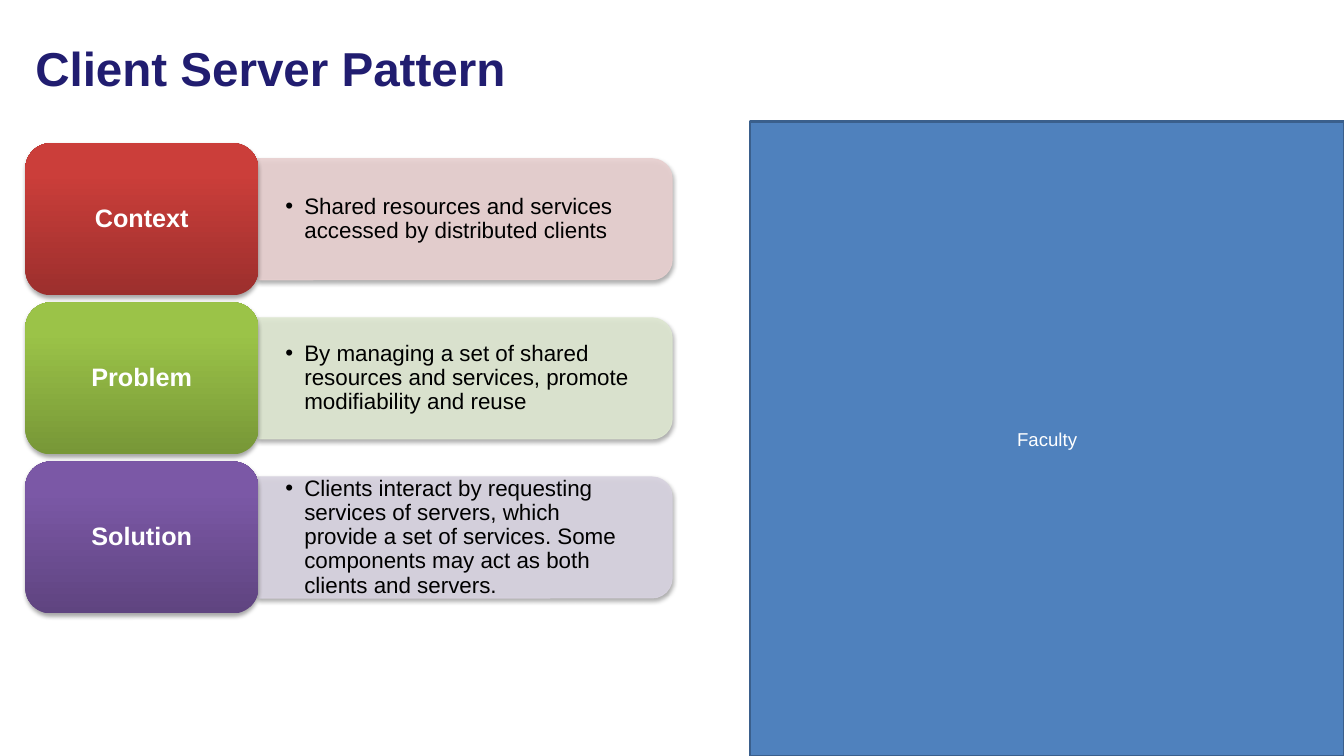
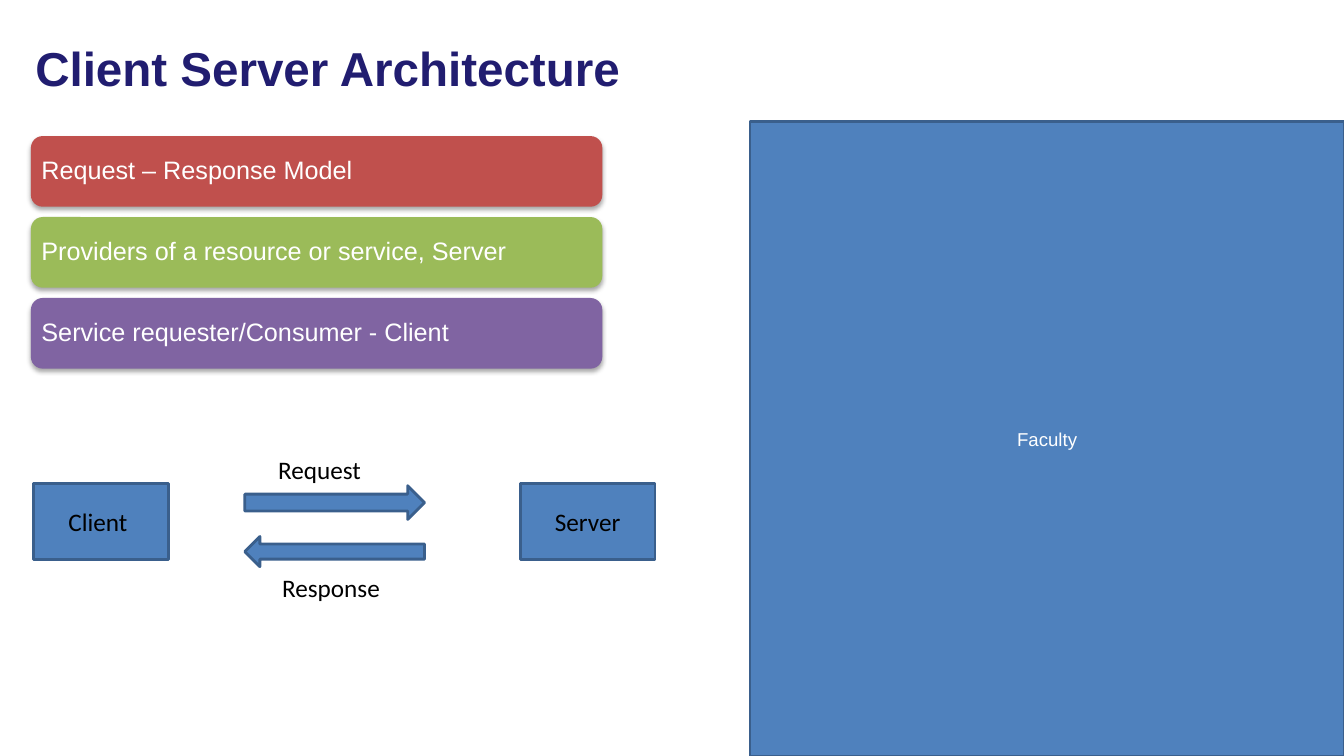
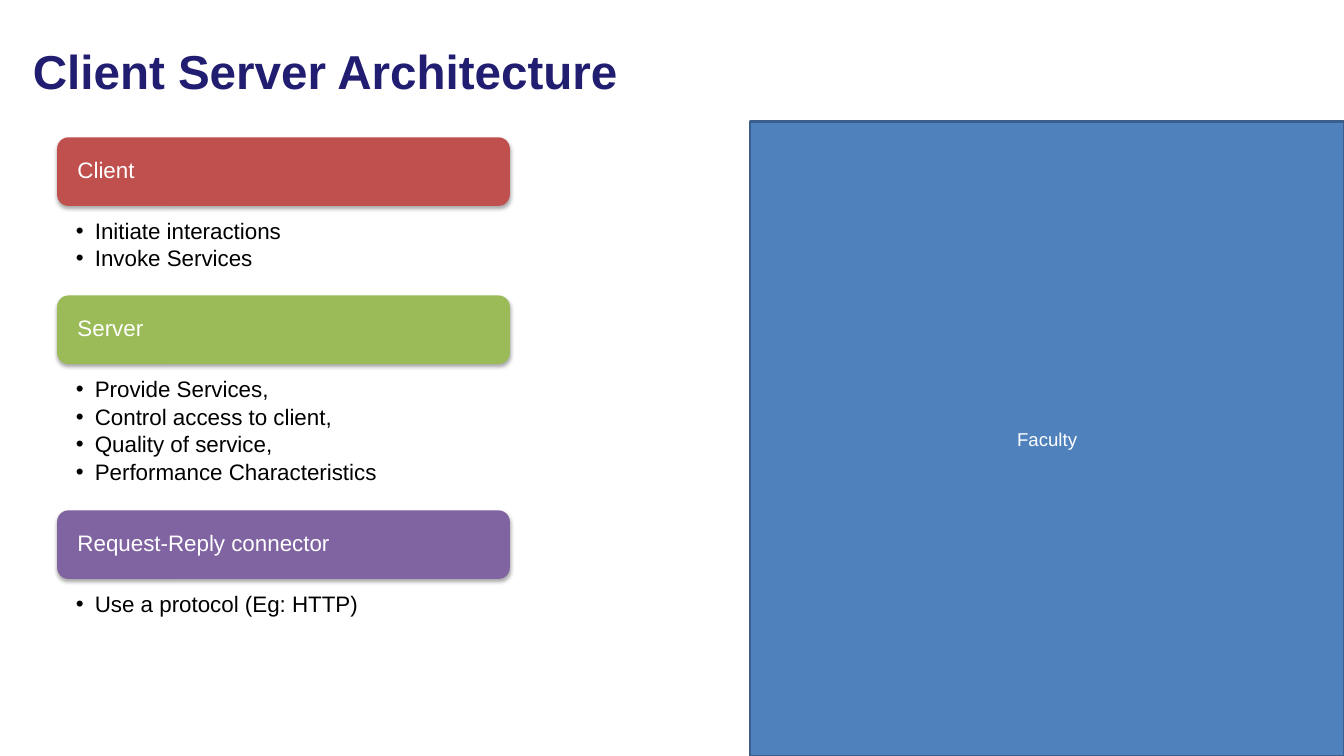
from dataclasses import dataclass

from lxml import etree
from pptx import Presentation
from pptx.dml.color import RGBColor
from pptx.enum.shapes import MSO_SHAPE
from pptx.enum.text import MSO_ANCHOR, MSO_AUTO_SIZE, PP_ALIGN
from pptx.oxml.ns import qn
from pptx.presentation import Presentation as Deck
from pptx.shapes.autoshape import Shape
from pptx.slide import Slide
from pptx.text.text import TextFrame
from pptx.util import Cm, Pt

RECTANGLE = MSO_SHAPE.RECTANGLE
ROUNDED = MSO_SHAPE.ROUNDED_RECTANGLE
ROUNDED_SIDE = MSO_SHAPE.ROUND_2_SAME_RECTANGLE
RIGHT_ARROW = MSO_SHAPE.RIGHT_ARROW
LEFT_ARROW = MSO_SHAPE.LEFT_ARROW
TOP = MSO_ANCHOR.TOP
MIDDLE = MSO_ANCHOR.MIDDLE
LEFT = PP_ALIGN.LEFT
CENTER = PP_ALIGN.CENTER
NO_AUTOFIT = MSO_AUTO_SIZE.NONE


@dataclass(frozen=True)
class Accent:
    solid: RGBColor
    tint: RGBColor
    light: RGBColor
    dark: RGBColor


@dataclass(frozen=True)
class TextStyle:
    size: float
    color: RGBColor
    font: str = "Arial"
    bold: bool = False
    align: PP_ALIGN = LEFT
    line_spacing: float = 1.0
    space_after: float = 0


def rgb(value: str) -> RGBColor:
    return RGBColor.from_string(value)


@dataclass(frozen=True)
class Theme:
    blue: RGBColor = rgb("4F81BD")
    blue_edge: RGBColor = rgb("3A5F8C")
    red: Accent = Accent(rgb("C0504D"), rgb("E8D0D0"), rgb("CB3E3A"), rgb("9C2F2D"))
    green: Accent = Accent(rgb("9BBB59"), rgb("DEE7D1"), rgb("9BC348"), rgb("779737"))
    purple: Accent = Accent(rgb("8064A2"), rgb("D8D3E0"), rgb("7B58A6"), rgb("5F4480"))
    title: TextStyle = TextStyle(34, rgb("211D70"), bold=True, line_spacing=0.9)
    card: TextStyle = TextStyle(18, rgb("FFFFFF"), bold=True, align=CENTER, line_spacing=0.9)
    bar: TextStyle = TextStyle(18, rgb("FFFFFF"), line_spacing=0.9)
    banner: TextStyle = TextStyle(16, rgb("FFFFFF"), line_spacing=0.9)
    bullet: TextStyle = TextStyle(16, rgb("000000"), line_spacing=0.9, space_after=2.4)
    panel: TextStyle = TextStyle(13.3, rgb("FFFFFF"), align=CENTER)
    node: TextStyle = TextStyle(18, rgb("000000"), font="Calibri", align=CENTER)
    caption: TextStyle = TextStyle(18, rgb("000000"), font="Calibri")

    @property
    def accents(self) -> tuple[Accent, ...]:
        return self.red, self.green, self.purple


THEME = Theme()


@dataclass(frozen=True)
class Box:
    left: float
    top: float
    width: float
    height: float

    def lengths(self) -> tuple[Cm, Cm, Cm, Cm]:
        return Cm(self.left), Cm(self.top), Cm(self.width), Cm(self.height)


@dataclass(frozen=True)
class Insets:
    side: float = 0.25
    top: float = 0.13
    bottom: float = 0.13


@dataclass(frozen=True)
class Section:
    heading: str
    items: tuple[str, ...]
    list_height: float = 0


PATTERN = (
    Section("Context", ("Shared resources and services accessed by distributed clients",)),
    Section("Problem", ("By managing a set of shared resources and services, "
                        "promote modifiability and reuse",)),
    Section("Solution", ("Clients interact by requesting services of servers, which provide "
                         "a set of services. Some components may act as both clients and "
                         "servers.",)),
)
MODEL = (
    "Request – Response Model",
    "Providers of a resource or service, Server",
    "Service requester/Consumer - Client",
)
ELEMENTS = (
    Section("Client", ("Initiate interactions", "Invoke Services"), 2.79),
    Section("Server", ("Provide Services,", "Control access to client,",
                       "Quality of service,", "Performance Characteristics"), 4.22),
    Section("Request-Reply connector", ("Use a protocol (Eg: HTTP)",), 2.16),
)


def write_text(frame: TextFrame, lines: tuple[str, ...], style: TextStyle,
               insets: Insets = Insets(), anchor: MSO_ANCHOR = MIDDLE,
               bulleted: bool = False) -> None:
    frame.text = "\n".join(lines)
    frame.word_wrap = True
    frame.auto_size = NO_AUTOFIT
    frame.vertical_anchor = anchor
    frame.margin_left = frame.margin_right = Cm(insets.side)
    frame.margin_top, frame.margin_bottom = Cm(insets.top), Cm(insets.bottom)
    for paragraph in frame.paragraphs:
        if bulleted:
            properties = paragraph._p.get_or_add_pPr()
            properties.set("marL", str(Cm(0.48)))
            properties.set("indent", str(Cm(-0.48)))
            etree.SubElement(properties, qn("a:buFont")).set("typeface", "Arial")
            etree.SubElement(properties, qn("a:buChar")).set("char", "•")
        paragraph.alignment = style.align
        paragraph.line_spacing = style.line_spacing
        paragraph.space_before = Pt(0)
        paragraph.space_after = Pt(style.space_after)
        for run in paragraph.runs:
            run.font.name = style.font
            run.font.size = Pt(style.size)
            run.font.bold = style.bold
            run.font.color.rgb = style.color


def add_block(slide: Slide, kind: MSO_SHAPE, box: Box, fill: RGBColor,
              edge: RGBColor | None = None, edge_width: float = 2) -> Shape:
    shape = slide.shapes.add_shape(kind, *box.lengths())
    shape.shadow.inherit = False
    shape.fill.solid()
    shape.fill.fore_color.rgb = fill
    if edge is None:
        shape.line.fill.background()
    else:
        shape.line.color.rgb = edge
        shape.line.width = Pt(edge_width)
    return shape


def add_soft_shadow(shape: Shape) -> None:
    effects = shape.element.spPr.find(qn("a:effectLst"))
    shadow = etree.SubElement(effects, qn("a:outerShdw"), blurRad=str(Pt(3.1)),
                              dist=str(Pt(1.8)), dir="5400000", rotWithShape="0")
    color = etree.SubElement(shadow, qn("a:srgbClr"), val="000000")
    etree.SubElement(color, qn("a:alpha"), val="35000")


def set_opacity(shape: Shape, percent: int) -> None:
    for color in shape.element.spPr.iter(qn("a:srgbClr")):
        etree.SubElement(color, qn("a:alpha"), val=str(percent * 1000))


def add_label_bar(slide: Slide, box: Box, text: str, fill: RGBColor,
                  style: TextStyle, insets: Insets) -> Shape:
    bar = add_block(slide, ROUNDED, box, fill)
    add_soft_shadow(bar)
    write_text(bar.text_frame, (text,), style, insets)
    return bar


def add_titled_slide(presentation: Deck, layout_name: str, title: str,
                     left: float = 0.64, top: float = 0.64) -> Slide:
    layout = presentation.slide_layouts.get_by_name(layout_name)
    slide = presentation.slides.add_slide(layout)
    place(slide.shapes.title, Box(left, top, 30, 2.31))
    write_text(slide.shapes.title.text_frame, (title,), THEME.title)
    return slide


def place(shape: Shape, box: Box) -> None:
    shape.left, shape.top, shape.width, shape.height = box.lengths()


def fill_list(slide: Slide, index: int, box: Box, items: tuple[str, ...],
              insets: Insets, anchor: MSO_ANCHOR) -> None:
    body = slide.placeholders[index]
    place(body, box)
    write_text(body.text_frame, items, THEME.bullet, insets, anchor, bulleted=True)
    slide.element.cSld.spTree.append(body.element)


def remove_empty_placeholders(slide: Slide) -> None:
    for placeholder in list(slide.placeholders):
        if not placeholder.text_frame.text:
            placeholder.element.getparent().remove(placeholder.element)


def add_faculty_panel(presentation: Deck, slide: Slide) -> None:
    panel = add_block(slide, RECTANGLE, Box(18.9, 3.07, 14.98, 15.98),
                      THEME.blue, THEME.blue_edge)
    write_text(panel.text_frame, ("Faculty",), THEME.panel)
    panel.element.nvSpPr.cNvPr.set("id", "20")
    presentation.slide_master.element.cSld.spTree.append(panel.element)


def add_pattern_row(slide: Slide, index: int, section: Section, accent: Accent) -> None:
    card_height, panel_width, panel_height, list_height = 3.83, 10.44, 3.05, 2.77
    panel_left = 6.5
    top = 3.61 + index * 4.01
    middle = top + card_height / 2
    upright = Box(panel_left + (panel_width - panel_height) / 2,
                  middle - panel_width / 2, panel_height, panel_width)
    panel = add_block(slide, ROUNDED_SIDE, upright, accent.tint, accent.tint, 0.75)
    panel.rotation = 90
    set_opacity(panel, 90)
    add_soft_shadow(panel)
    card = add_label_bar(slide, Box(0.64, top, 5.87, card_height), section.heading,
                         accent.solid, THEME.card, Insets(0.18, 0.1, 0.1))
    card.fill.gradient()
    card.fill.gradient_angle = 90
    for stop, color, position in zip(card.fill.gradient_stops,
                                     (accent.dark, accent.light), (0, 0.8)):
        stop.color.rgb = color
        stop.position = position
    fill_list(slide, index + 1, Box(panel_left, middle - list_height / 2, 10.29, list_height),
              section.items, Insets(0.69, 0.36, 0.36), MIDDLE)


def build_pattern_slide(presentation: Deck) -> None:
    slide = add_titled_slide(presentation, "Comparison", "Client Server Pattern")
    add_faculty_panel(presentation, slide)
    for index, (section, accent) in enumerate(zip(PATTERN, THEME.accents)):
        add_pattern_row(slide, index, section, accent)
    remove_empty_placeholders(slide)


def build_model_slide(presentation: Deck) -> None:
    slide = add_titled_slide(presentation, "Title Only", "Client Server Architecture")
    for index, (text, accent) in enumerate(zip(MODEL, THEME.accents)):
        add_label_bar(slide, Box(0.78, 3.43 + index * 2.04, 14.4, 1.78), text,
                      accent.solid, THEME.bar, Insets(0.18, 0.18, 0.18))
    for text, left in (("Client ", 0.84), ("Server", 13.11)):
        node = add_block(slide, RECTANGLE, Box(left, 12.19, 3.4, 1.91),
                         THEME.blue, THEME.blue_edge)
        write_text(node.text_frame, (text,), THEME.node)
    for kind, top, height in ((RIGHT_ARROW, 12.24, 0.85), (LEFT_ARROW, 13.52, 0.76)):
        add_block(slide, kind, Box(6.17, top, 4.53, height), THEME.blue, THEME.blue_edge)
    for text, box in (("Request", Box(6.76, 11.31, 2.95, 1.02)),
                      ("Response", Box(6.86, 14.3, 3.38, 1.02))):
        caption = slide.shapes.add_textbox(*box.lengths())
        write_text(caption.text_frame, (text,), THEME.caption, anchor=TOP)


def build_elements_slide(presentation: Deck) -> None:
    slide = add_titled_slide(presentation, "Comparison", "Client Server Architecture",
                             0.58, 0.71)
    banner_height, gap = 1.73, 0.33
    top = 3.46
    for index, (section, accent) in enumerate(zip(ELEMENTS, THEME.accents)):
        list_top = top + banner_height / 2
        add_label_bar(slide, Box(1.44, top, 11.41, banner_height), section.heading,
                      accent.solid, THEME.banner, Insets(0.43, 0, 0))
        fill_list(slide, index + 1, Box(0.64, list_top, 16.31, section.list_height),
                  section.items, Insets(1.27, 1.22, 0.3), TOP)
        top = list_top + section.list_height + gap
    remove_empty_placeholders(slide)


def main() -> None:
    presentation = Presentation()
    presentation.slide_width, presentation.slide_height = Cm(33.87), Cm(19.05)
    build_pattern_slide(presentation)
    build_model_slide(presentation)
    build_elements_slide(presentation)
    presentation.save("out.pptx")


if __name__ == "__main__":
    main()
